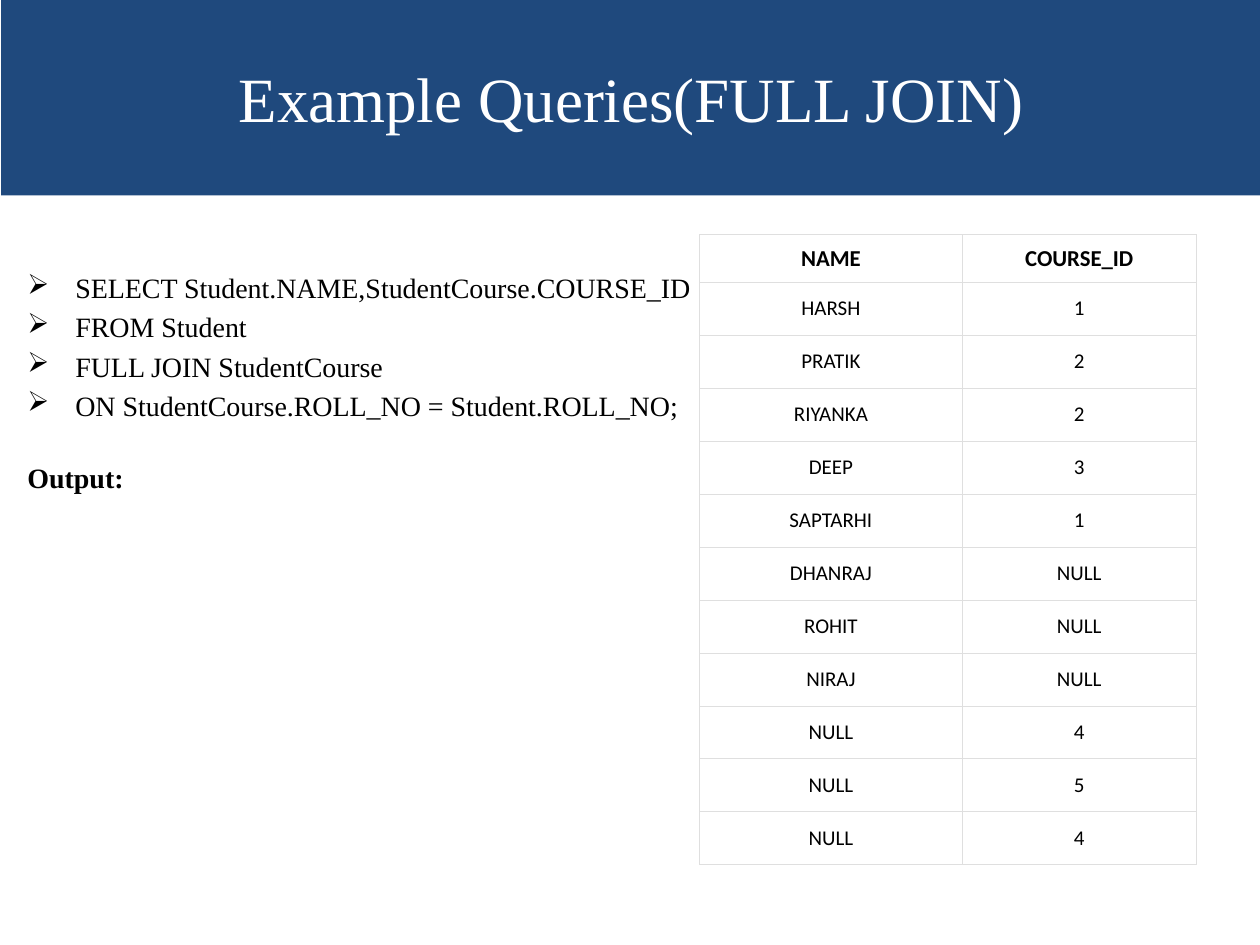
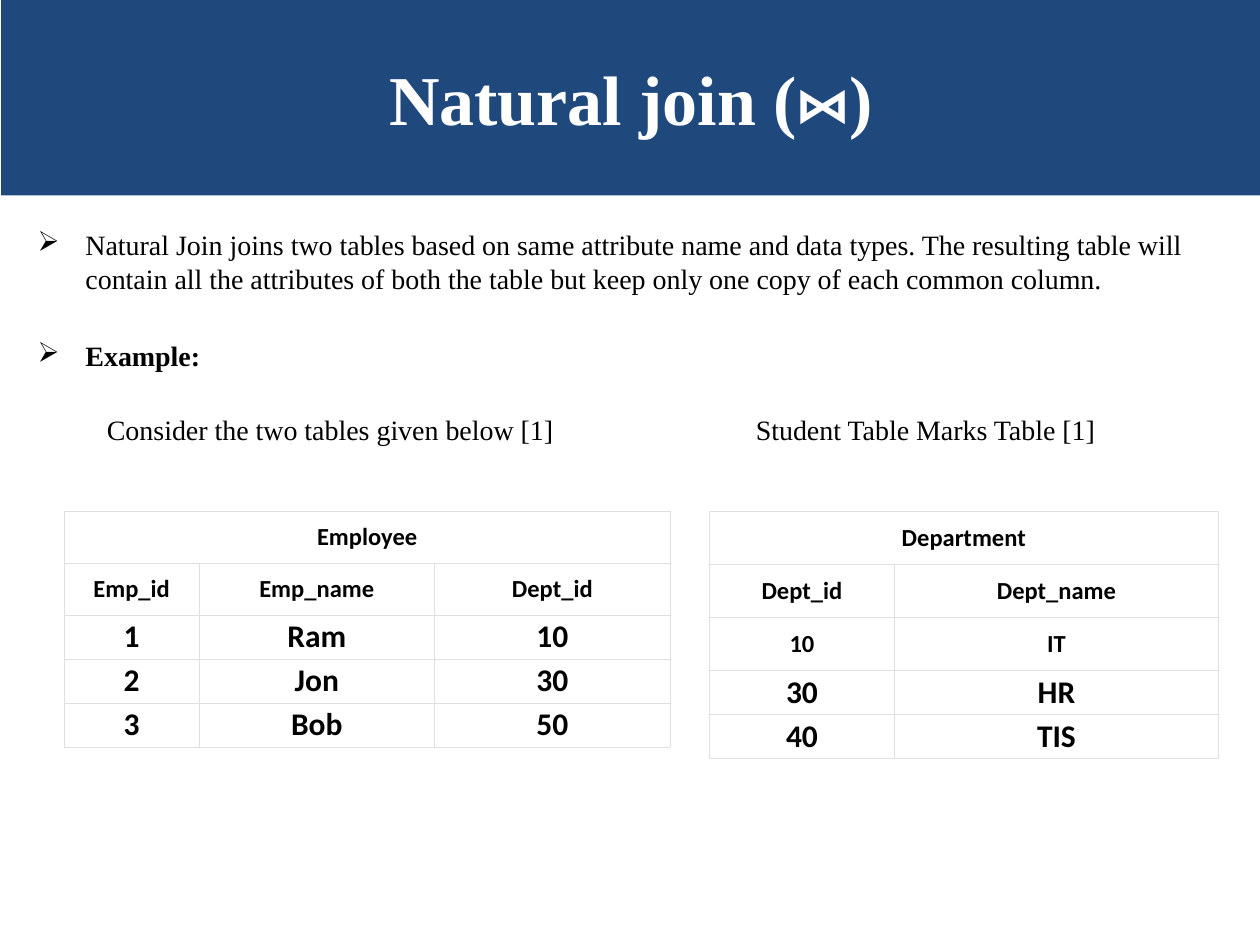
from collections import namedtuple
from lxml.etree import SubElement
from pptx import Presentation
from pptx.dml.color import RGBColor
from pptx.enum.shapes import MSO_SHAPE as Kind
from pptx.enum.text import MSO_ANCHOR as Anchor, PP_ALIGN as Align
from pptx.oxml import parse_xml
from pptx.oxml.ns import nsdecls, qn
from pptx.util import Inches, Pt

NAVY = RGBColor(0x1F, 0x49, 0x7D)
WHITE = RGBColor(0xFF, 0xFF, 0xFF)
BLACK = RGBColor(0, 0, 0)
GREY = RGBColor(0xDF, 0xDF, 0xDF)
SERIF = "Times New Roman"
SANS = "Calibri"

Row = namedtuple("Row", "high pad size bold")
Line = namedtuple("Line", "text gap bullet bold", defaults=(3.2, True, False))

HEAD = Row(0.38, 0.08, 13, True)
NAME = Row(0.42, 0.11, 12, False)
LABEL = Row(0.41, 0.08, 14, True)
DEPT = Row(0.42, 0.08, 14, True)
VALUE = Row(0.35, 0.02, 18, True)


class Deck:
    def __init__(self):
        self.show = Presentation()
        self.show.slide_width = Inches(10)
        self.show.slide_height = Inches(7.5)
        self.slide = None

    def start(self, title, size, bold=False):
        self.slide = self.show.slides.add_slide(self.show.slide_layouts[6])
        band = self.slide.shapes.add_shape(
            Kind.RECTANGLE, Inches(0.01), 0, Inches(10), Inches(1.55))
        band.shadow.inherit = False
        band.fill.solid()
        band.fill.fore_color.rgb = NAVY
        band.line.fill.background()
        frame = band.text_frame
        frame.vertical_anchor = Anchor.MIDDLE
        para = frame.paragraphs[0]
        para.alignment = Align.CENTER
        self.put(para, title, SERIF, size, WHITE, bold)

    def put(self, para, text, face, size, color, bold):
        run = para.add_run()
        run.text = text
        run.font.name = face
        run.font.size = Pt(size)
        run.font.color.rgb = color
        run.font.bold = bold

    def body(self, left, top, wide, high, lines, tabs=()):
        box = self.slide.shapes.add_textbox(
            Inches(left), Inches(top), Inches(wide), Inches(high))
        frame = box.text_frame
        frame.word_wrap = True
        for i, line in enumerate(lines):
            para = frame.add_paragraph() if i else frame.paragraphs[0]
            para.space_before = Pt(line.gap if i else 0)
            self.put(para, line.text, SERIF, 16, BLACK, line.bold)
            props = para._p.get_or_add_pPr()
            if line.bullet:
                props.set("marL", str(Inches(0.38)))
                props.set("indent", str(-Inches(0.38)))
                SubElement(props, qn("a:buChar"), char="➢")
            elif tabs:
                stops = SubElement(props, qn("a:tabLst"))
                for stop in tabs:
                    SubElement(stops, qn("a:tab"), pos=str(Inches(stop)), algn="l")

    def table(self, left, top, cols, kinds, rows):
        frame = self.slide.shapes.add_table(
            len(rows), len(cols), Inches(left), Inches(top),
            Inches(sum(cols)), Inches(sum(kind.high for kind in kinds)))
        grid = frame.table
        grid.first_row = grid.horz_banding = False
        for col, wide in zip(grid.columns, cols):
            col.width = Inches(wide)
        for r, (kind, row) in enumerate(zip(kinds, rows)):
            grid.rows[r].height = Inches(kind.high)
            for c in range(len(cols)):
                self.cell(grid.cell(r, c), row[c] if c < len(row) else "", kind)
            if len(row) == 1:
                grid.cell(r, 0).merge(grid.cell(r, len(cols) - 1))

    def cell(self, cell, text, kind):
        cell.fill.solid()
        cell.fill.fore_color.rgb = WHITE
        cell.vertical_anchor = Anchor.MIDDLE
        cell.margin_left = cell.margin_right = Inches(0.04)
        cell.margin_top = cell.margin_bottom = Inches(kind.pad)
        props = cell._tc.get_or_add_tcPr()
        for i, side in enumerate("LRTB"):
            props.insert(i, parse_xml(
                f'<a:ln{side} {nsdecls("a")} w="{Pt(0.18)}"><a:solidFill>'
                f'<a:srgbClr val="{GREY}"/></a:solidFill></a:ln{side}>'))
        para = cell.text_frame.paragraphs[0]
        para.alignment = Align.CENTER
        if text:
            self.put(para, text, SANS, kind.size, BLACK, kind.bold)


def main():
    deck = Deck()

    deck.start("Example Queries(FULL JOIN)", 36)
    deck.body(0.12, 2.1, 9.76, 5.28, [
        Line("SELECT Student.NAME,StudentCourse.COURSE_ID"),
        Line("FROM Student"),
        Line("FULL JOIN StudentCourse"),
        Line("ON StudentCourse.ROLL_NO = Student.ROLL_NO;"),
        Line("Output:", 22, False, True),
    ])
    pairs = [
        ("NAME", "COURSE_ID"), ("HARSH", "1"), ("PRATIK", "2"),
        ("RIYANKA", "2"), ("DEEP", "3"), ("SAPTARHI", "1"),
        ("DHANRAJ", "NULL"), ("ROHIT", "NULL"), ("NIRAJ", "NULL"),
        ("NULL", "4"), ("NULL", "5"), ("NULL", "4"),
    ]
    deck.table(5.55, 1.86, [2.09, 1.85], [HEAD] + [NAME] * 11, pairs)

    deck.start("Natural join (⋈)", 40, True)
    deck.body(0.2, 1.76, 9.61, 5.38, [
        Line("Natural Join joins two tables based on same attribute name and "
             "data types. The resulting table will contain all the attributes "
             "of both the table but keep only one copy of each common column."),
        Line("Example:", 25, True, True),
        Line("\tConsider the two tables given below [1]"
             "\tStudent Table Marks Table [1]", 23, False),
    ], tabs=(0.55, 5.7))
    deck.table(0.51, 4.06, [1.07, 1.87, 1.87], [LABEL] * 2 + [VALUE] * 3, [
        ("Employee",), ("Emp_id", "Emp_name", "Dept_id"),
        ("1", "Ram", "10"), ("2", "Jon", "30"), ("3", "Bob", "50"),
    ])
    deck.table(5.63, 4.06, [1.47, 2.57], [DEPT] * 3 + [VALUE] * 2, [
        ("Department",), ("Dept_id", "Dept_name"),
        ("10", "IT"), ("30", "HR"), ("40", "TIS"),
    ])

    deck.show.save("out.pptx")


if __name__ == "__main__":
    main()
